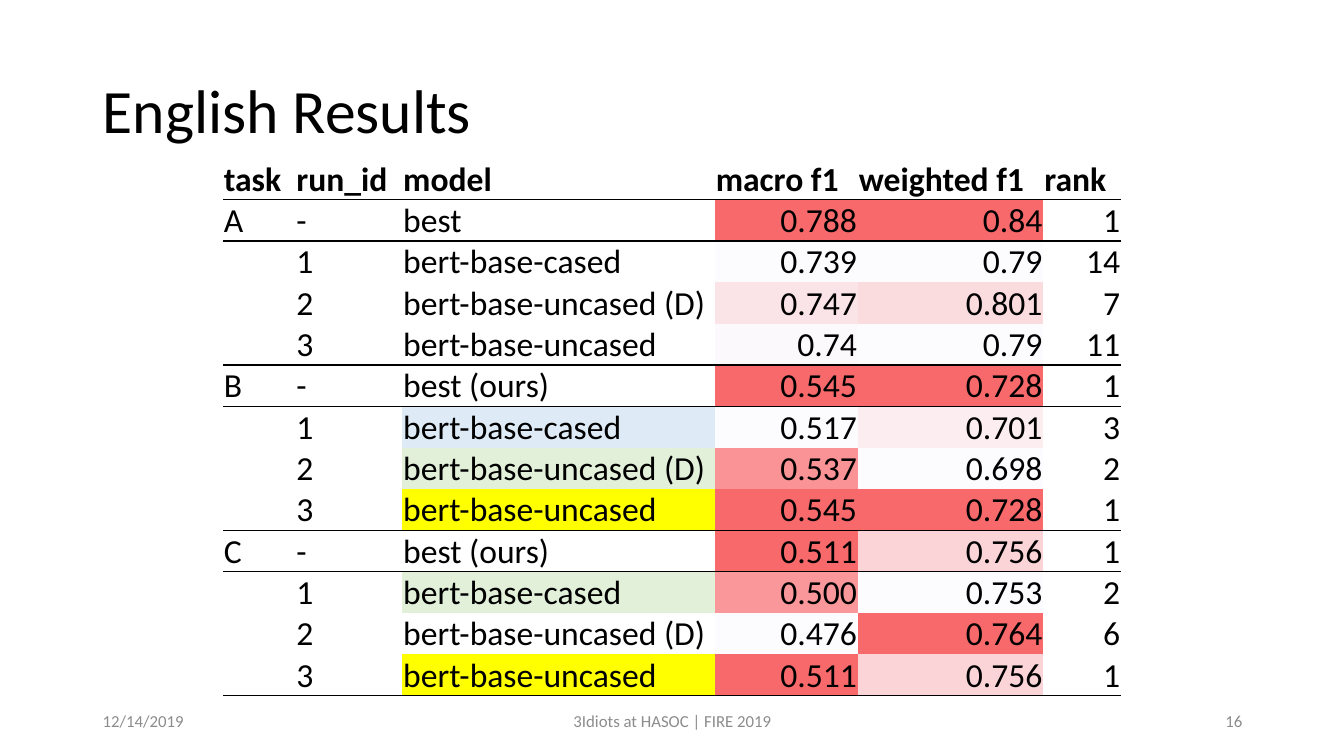
"""Build the English Results slide with its heat-mapped score table."""
import lxml.etree
import pptx
import pptx.dml.color
import pptx.enum.text
import pptx.oxml.ns
import pptx.util

Inches = pptx.util.Inches
ALIGN = pptx.enum.text.PP_ALIGN
ANCHOR = pptx.enum.text.MSO_ANCHOR

THEME = {
    "font": "Calibri", "text": "000000", "footer": "8C8C8C",
    "low": "FCFCFF", "high": "F8696B",
    "blue": "DEEBF7", "green": "E2F0D9", "yellow": "FFFF00",
    "title_size": 44, "table_size": 24, "footer_size": 12, "rule_width": 1,
}
TITLE = "English Results"
HEADER = ("task", "run_id", "model", "macro f1", "weighted f1", "rank")
TASKS = {
    "A": [
        ("-", "best", "0.788", "0.84", "1"),
        ("1", "bert-base-cased", "0.739", "0.79", "14"),
        ("2", "bert-base-uncased (D)", "0.747", "0.801", "7"),
        ("3", "bert-base-uncased", "0.74", "0.79", "11"),
    ],
    "B": [
        ("-", "best (ours)", "0.545", "0.728", "1"),
        ("1", "bert-base-cased", "0.517", "0.701", "3"),
        ("2", "bert-base-uncased (D)", "0.537", "0.698", "2"),
        ("3", "bert-base-uncased", "0.545", "0.728", "1"),
    ],
    "C": [
        ("-", "best (ours)", "0.511", "0.756", "1"),
        ("1", "bert-base-cased", "0.500", "0.753", "2"),
        ("2", "bert-base-uncased (D)", "0.476", "0.764", "6"),
        ("3", "bert-base-uncased", "0.511", "0.756", "1"),
    ],
}
MODEL_MARKS = {("B", "1"): "blue", ("B", "2"): "green", ("B", "3"): "yellow",
               ("C", "1"): "green", ("C", "3"): "yellow"}
FOOTERS = [
    ("12/14/2019", 0.92, 3, ALIGN.LEFT),
    ("3Idiots at HASOC | FIRE 2019", 4.42, 4.5, ALIGN.CENTER),
    ("16", 9.42, 3, ALIGN.RIGHT),
]
COLUMN_WIDTHS = (0.72, 1.06, 3.1, 1.42, 1.84, 0.77)
ROW_HEIGHT = 0.4
MODEL_COLUMN, SCORE_COLUMNS, FIRST_NUMBER_COLUMN = 2, (3, 4), 3
NO_STYLE = "{2D5ABB26-0587-4C30-8999-92F81FD0307C}"


def color(value):
    return pptx.dml.color.RGBColor.from_string(value)


def write(text_frame, text, size, ink, align=ALIGN.LEFT, bold=False):
    text_frame.text = text
    paragraph = text_frame.paragraphs[0]
    paragraph.alignment = align
    for item in (paragraph, *paragraph.runs):
        item.font.name = THEME["font"]
        item.font.size = pptx.util.Pt(size)
        item.font.bold = bold
        item.font.color.rgb = color(ink)
    return paragraph


def heat(score, scores):
    share = (score - min(scores)) / (max(scores) - min(scores))
    low, high = color(THEME["low"]), color(THEME["high"])
    return "".join(f"{round(a + (b - a) * share):02X}" for a, b in zip(low, high))


def table_rows():
    rows = [[(name, None) for name in HEADER]]
    for task, runs in TASKS.items():
        for index, run in enumerate(runs):
            texts = (task if index == 0 else "", *run)
            fills = [None] * len(texts)
            fills[MODEL_COLUMN] = THEME.get(MODEL_MARKS.get((task, run[0])))
            for column in SCORE_COLUMNS:
                scores = [float(other[column - 1]) for other in runs]
                fills[column] = heat(float(texts[column]), scores)
            rows.append(list(zip(texts, fills)))
    return rows


def add_rule(cell, side):
    properties = cell._tc.get_or_add_tcPr()
    qn = pptx.oxml.ns.qn
    width = str(pptx.util.Pt(THEME["rule_width"]))
    line = lxml.etree.SubElement(properties, qn(f"a:{side}"), w=width)
    fill = lxml.etree.SubElement(line, qn("a:solidFill"))
    lxml.etree.SubElement(fill, qn("a:srgbClr"), val=THEME["text"])


def add_results(slide):
    rows = table_rows()
    group = len(TASKS["A"])
    frame = slide.shapes.add_table(
        len(rows), len(HEADER), Inches(2.21), Inches(1.57),
        Inches(sum(COLUMN_WIDTHS)), Inches(ROW_HEIGHT * len(rows)))
    table = frame.table
    table.first_row = table.horz_banding = False
    table._tbl.tblPr.find(pptx.oxml.ns.qn("a:tableStyleId")).text = NO_STYLE
    for column, width in zip(table.columns, COLUMN_WIDTHS):
        column.width = Inches(width)
    for row_index, row in enumerate(rows):
        table.rows[row_index].height = Inches(ROW_HEIGHT)
        for column_index, (text, fill) in enumerate(row):
            cell = table.cell(row_index, column_index)
            is_number = row_index > 0 and column_index >= FIRST_NUMBER_COLUMN
            write(cell.text_frame, text, THEME["table_size"], THEME["text"],
                  ALIGN.RIGHT if is_number else ALIGN.LEFT, row_index == 0)
            cell.vertical_anchor = ANCHOR.BOTTOM
            cell.margin_left = cell.margin_right = cell.margin_top = Inches(0.01)
            cell.margin_bottom = 0
            if row_index % group == 1:
                add_rule(cell, "lnT")
            if row_index % group == 0:
                add_rule(cell, "lnB")
            if fill:
                cell.fill.solid()
                cell.fill.fore_color.rgb = color(fill)
            else:
                cell.fill.background()


def main():
    presentation = pptx.Presentation()
    presentation.slide_width = Inches(13.33)
    presentation.slide_height = Inches(7.5)
    slide = presentation.slides.add_slide(presentation.slide_layouts[5])
    title = slide.shapes.title
    title.left, title.top = Inches(0.92), Inches(0.4)
    title.width, title.height = Inches(11.5), Inches(1.45)
    title.text_frame.vertical_anchor = ANCHOR.MIDDLE
    heading = write(title.text_frame, TITLE, THEME["title_size"], THEME["text"])
    heading.line_spacing = 0.9
    for text, left, width, align in FOOTERS:
        box = slide.shapes.add_textbox(
            Inches(left), Inches(6.95), Inches(width), Inches(0.4))
        box.text_frame.word_wrap = True
        box.text_frame.vertical_anchor = ANCHOR.MIDDLE
        write(box.text_frame, text, THEME["footer_size"], THEME["footer"], align)
    add_results(slide)
    presentation.save("out.pptx")


if __name__ == "__main__":
    main()
